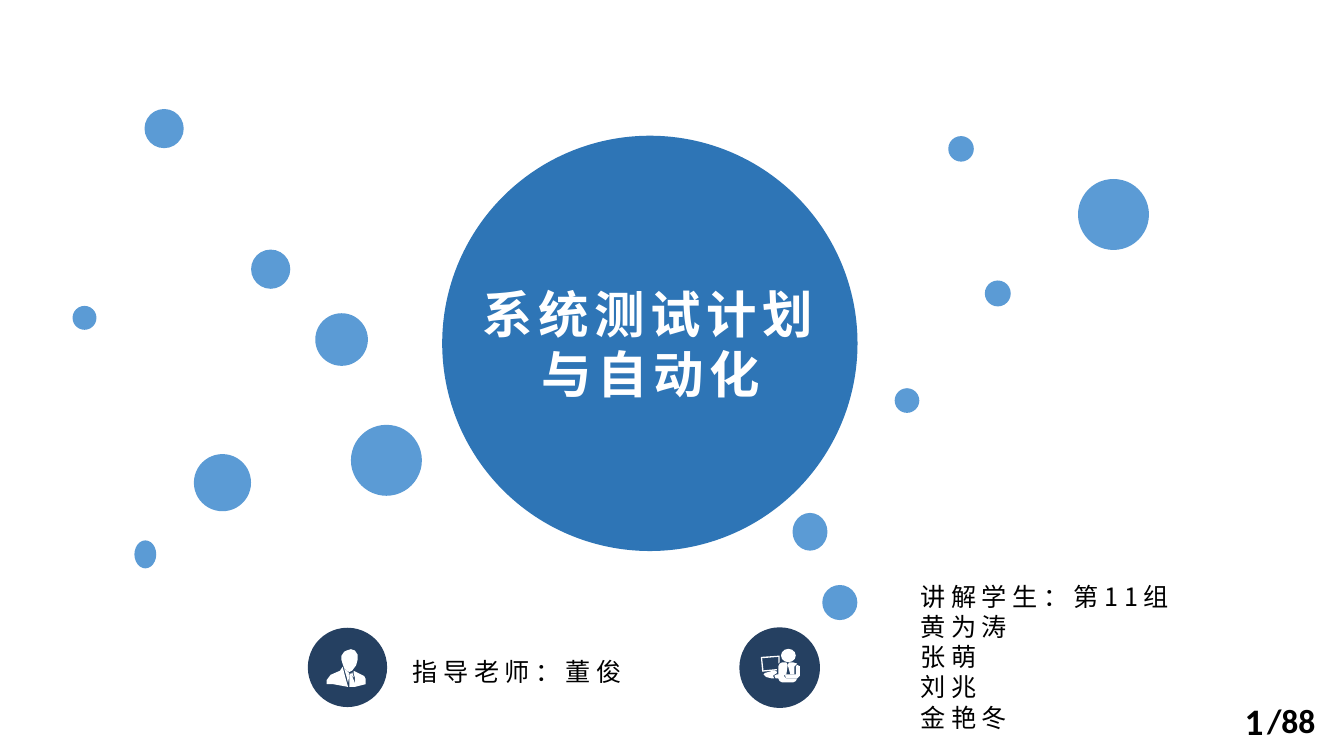
from pptx import Presentation
from pptx.dml.color import RGBColor
from pptx.enum.shapes import MSO_SHAPE
from pptx.enum.text import MSO_ANCHOR, MSO_AUTO_SIZE, PP_ALIGN
from pptx.oxml.ns import qn
from pptx.util import Pt

OVAL = MSO_SHAPE.OVAL
TOP, MIDDLE = MSO_ANCHOR.TOP, MSO_ANCHOR.MIDDLE
LEFT, CENTER, RIGHT = PP_ALIGN.LEFT, PP_ALIGN.CENTER, PP_ALIGN.RIGHT

COLORS = {
    "hub": "2E75B6",
    "bubble": "5B9BD5",
    "badge": "254061",
    "light": "FFFFFF",
    "text": "000000",
}
CJK, LATIN = "Noto Sans CJK SC", "Calibri"
ICON_UNIT = Pt(0.72)  # icons are drawn on a grid of 1/100 inch

# left, top, width, height
BUBBLES = [
    (72, 289.5, 11.7, 15), (103.9, 243.3, 30.6, 30.6), (188, 227.6, 38, 38),
    (38.9, 163.9, 12.8, 12.8), (168.9, 167.8, 28.2, 28.2),
    (134.5, 133.7, 21, 21), (479.3, 208, 13.2, 13.2), (577.5, 95.9, 38, 38),
    (440.5, 313.4, 18.8, 18.8), (424.6, 274.8, 18.7, 20.2),
    (527.6, 150.3, 13.9, 13.9), (508, 72.9, 13.7, 13.7), (77.4, 58.4, 21, 21),
]

TEACHER_ICON = [
    # head
    [(32, 16), (35, 17), (37, 20), (37, 24), (36, 28), (33, 32), (31, 33),
     (29, 32), (27, 30), (26, 27), (25, 24), (25, 21), (27, 18), (29, 17)],
    # jacket, left and right
    [(26, 29), (28, 37), (30, 44), (19, 42), (14, 42), (14, 39), (17, 35), (24, 32)],
    [(34, 32), (42, 36), (43, 38), (43, 42), (35, 44), (35, 37), (34, 34)],
    # shirt, collar and tie
    [(27, 30), (31, 34), (30, 35), (31, 35), (30, 41), (29, 37)],
    [(33, 33), (34, 36), (34, 37), (32, 35)],
    [(32, 34), (32, 35), (33, 36), (35, 41), (35, 44), (31, 44), (31, 37), (31, 35)],
]
STUDENT_ICON = [
    # screen and keyboard
    [(16, 22), (30, 21), (30, 26), (29, 27), (29, 22), (17, 23),
     (18, 32), (28, 31), (28, 32), (17, 33)],
    [(26, 32), (28, 33), (28, 34), (25, 36), (26, 38), (24, 38),
     (20, 37), (18, 35), (19, 34)],
    # shoulder and body
    [(37, 26), (40, 26), (43, 27), (41, 29), (41, 35), (38, 35), (36, 28)],
    [(32, 26), (35, 26), (36, 28), (35, 35), (33, 36), (35, 38), (43, 38),
     (42, 40), (40, 41), (32, 41), (30, 40), (29, 38), (27, 38), (26, 36),
     (28, 35), (29, 35), (29, 29), (30, 27)],
    # arm
    [(43, 28), (45, 29), (45, 36), (43, 38), (35, 38), (34, 36), (35, 35),
     (42, 35), (42, 29)],
]
STUDENT_HEAD = (22.3, 11.5, 7.9, 7.2)


def paint(shape, color):
    shape.shadow.inherit = False
    shape.fill.solid()
    shape.fill.fore_color.rgb = RGBColor.from_string(COLORS[color])
    shape.line.fill.background()
    return shape


def add_disc(shapes, box, color):
    return paint(shapes.add_shape(OVAL, *map(Pt, box)), color)


def write(holder, box, lines, size, font=CJK, color="text", bold=False,
          align=LEFT, anchor=TOP, wrap=True, pitch=None, tracking=None):
    """Place a text holder and fill it with evenly formatted lines."""
    holder.left, holder.top, holder.width, holder.height = map(Pt, box)
    frame = holder.text_frame
    frame.text = "\n".join(lines)
    settings = {"word_wrap": wrap, "auto_size": MSO_AUTO_SIZE.NONE,
                "vertical_anchor": anchor}
    for name, value in settings.items():
        setattr(frame, name, value)
    for paragraph in frame.paragraphs:
        layout = {"alignment": align, "space_before": Pt(0),
                  "line_spacing": Pt(pitch) if pitch else None}
        for name, value in layout.items():
            setattr(paragraph, name, value)
        run = paragraph.runs[0]
        for name, value in {"size": Pt(size), "name": font, "bold": bold}.items():
            setattr(run.font, name, value)
        run.font.color.rgb = RGBColor.from_string(COLORS[color])
        properties = run.font._element
        east_asian = properties.makeelement(qn("a:ea"), {"typeface": font})
        properties.find(qn("a:latin")).addnext(east_asian)
        if tracking:
            properties.set("spc", str(tracking * 100))


def remove_bullets(holder):
    for paragraph in holder.text_frame.paragraphs:
        properties = paragraph._p.get_or_add_pPr()
        properties.set("marL", "0")
        properties.set("indent", "0")
        properties.append(properties.makeelement(qn("a:buNone"), {}))


def add_hub(slide, left, top, diameter):
    """The large disc with the title inside it."""
    hub = add_disc(slide.shapes, (left, top, diameter, diameter), "hub")
    title = slide.shapes.title
    write(title, (left + 7.9, top + 75.7, 207.4, 72.7), ["系统测试计划与自动化"], 27,
          color="light", bold=True, align=CENTER, pitch=32.2, tracking=3)
    hub._element.addnext(title._element)


def add_badge(slide, left, top, diameter, outlines, head=None):
    """A dark disc carrying a light icon."""
    parts = slide.shapes.add_group_shape().shapes
    add_disc(parts, (left, top, diameter, diameter), "badge")
    for outline in outlines:
        builder = parts.build_freeform(*outline[0], scale=ICON_UNIT)
        builder.add_line_segments(outline[1:], close=True)
        paint(builder.convert_to_shape(Pt(left), Pt(top)), "light")
    if head:
        x, y, width, height = head
        add_disc(parts, (left + x, top + y, width, height), "light")


def add_people(slide, left, top):
    """Teacher and student group, each with a badge."""
    teacher, students = list(slide.placeholders)[1:3]
    add_badge(slide, left, top, 42.5, TEACHER_ICON)
    write(teacher, (left + 49, top + 11.5, 160, 24), ["指导老师：董俊"], 13.5,
          pitch=16.2, tracking=3)
    add_badge(slide, left + 231.2, top - 0.2, 43.2, STUDENT_ICON, STUDENT_HEAD)
    write(students, (left + 321.1, top - 28.7, 245.5, 89.3),
          ["讲解学生：第11组", "黄为涛", "张萌", "刘兆", "金艳冬"], 13.5,
          pitch=16.2, tracking=3)
    remove_bullets(teacher)
    remove_bullets(students)


def add_page_count(slide, left, top):
    count = {"font": LATIN, "bold": True}
    current = slide.shapes.add_textbox(0, 0, 0, 0)
    write(current, (left, top + 3.6, 167.8, 21.6), ["1"], 20,
          align=RIGHT, anchor=MIDDLE, **count)
    total = slide.shapes.add_textbox(0, 0, 0, 0)
    write(total, (left + 155.5, top, 47.5, 28.8), ["/88"], 18, wrap=False, **count)


def main():
    deck = Presentation()
    deck.slide_width, deck.slide_height = Pt(720), Pt(405)
    slide = deck.slides.add_slide(deck.slide_layouts[3])
    add_hub(slide, 236.9, 72.7, 222.5)
    for bubble in BUBBLES:
        add_disc(slide.shapes, bubble, "bubble")
    add_people(slide, 164.9, 336.3)
    add_page_count(slide, 516.2, 371.5)
    deck.save("out.pptx")


if __name__ == "__main__":
    main()
